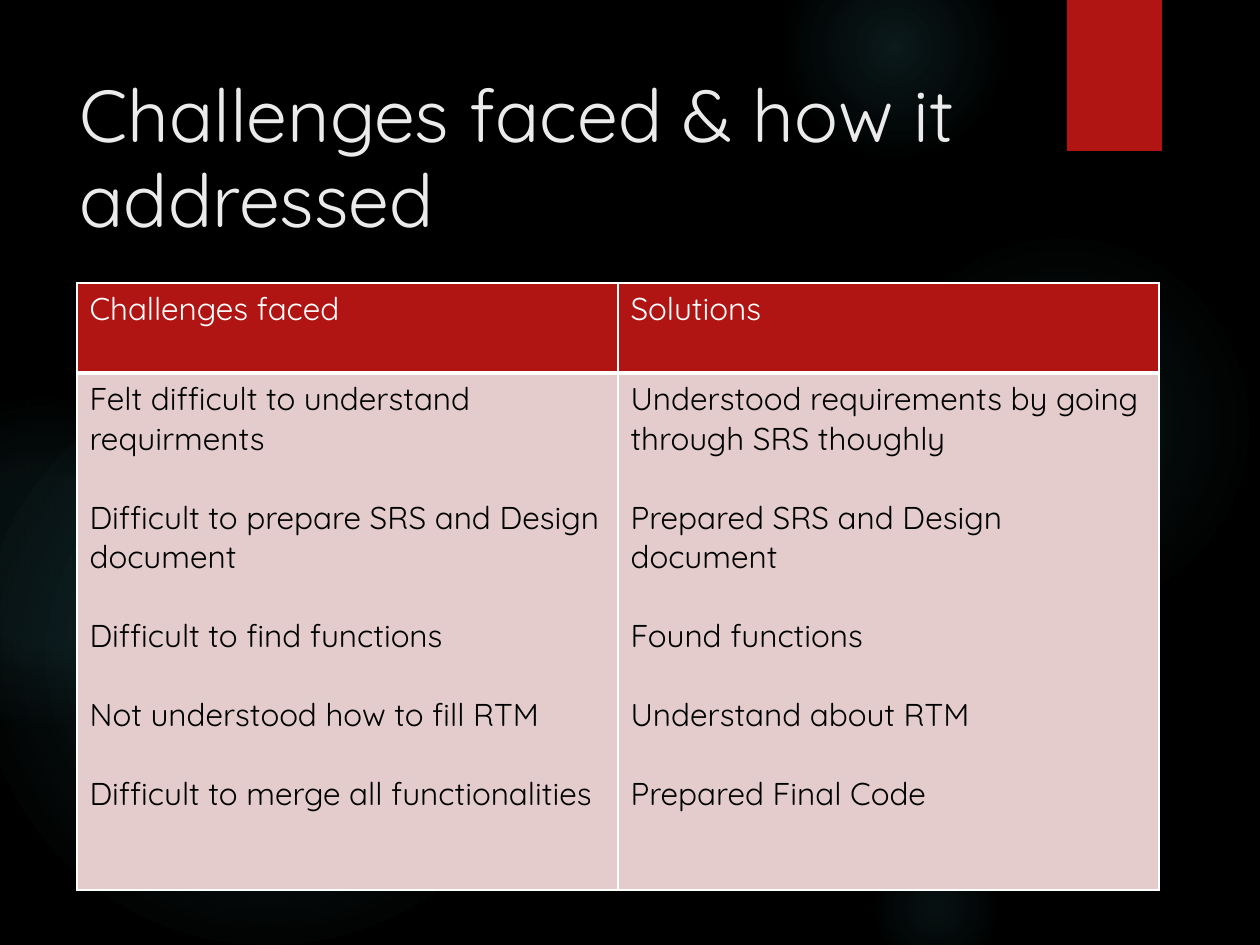
from pptx import Presentation
from pptx.dml.color import RGBColor
from pptx.enum.shapes import MSO_SHAPE as SHAPE
from pptx.enum.text import MSO_ANCHOR as ANCHOR, PP_ALIGN as ALIGN
from pptx.oxml import parse_xml
from pptx.oxml.ns import nsdecls, qn
from pptx.util import Emu, Pt

PX_PER_INCH = 126
FONT = "Quicksand"
BLACK, WHITE, RED, PINK, TEAL = "000000", "FFFFFF", "B01513", "E4CCCC", "50B9C1"
TITLE_COLOR = "EBEBEB"

# left, top, diameter, then (position %, opacity %) stops from the centre out
GLOWS = [
    (868, 231, 388, [(0, 7), (36, 6), (69, 0)]),
    (784, -63, 220, [(0, 14), (36, 7), (73, 0)]),
    (868, 840, 136, [(0, 9), (36, 5), (66, 0)]),
    (-21, 368, 577, [(0, 11), (36, 10), (75, 0)]),
    (-116, 399, 325, [(0, 8), (36, 8), (72, 0)]),
]
HEADERS = ["Challenges faced", "Solutions"]
ROWS = [
    ("Felt difficult to understand requirments",
     "Understood requirements by going through SRS thoughly"),
    ("Difficult to prepare SRS and Design document",
     "Prepared SRS and Design document"),
    ("Difficult to find functions", "Found functions"),
    ("Not understood how to fill RTM", "Understand about RTM"),
    ("Difficult to merge all functionalities", "Prepared Final Code"),
]


def px(n):
    return Emu(round(n * 914400 / PX_PER_INCH))


def rgb(color):
    return RGBColor.from_string(color)


def write(tf, lines, size=18, color=BLACK, gap=0, spacing=None):
    """Fill a text frame with one paragraph per line, gap points apart."""
    for i, line in enumerate(lines):
        p = tf.paragraphs[0] if i == 0 else tf.add_paragraph()
        p.alignment = ALIGN.LEFT
        p.space_before = Pt(gap if i else 0)
        if spacing:
            p.line_spacing = spacing
        r = p.add_run()
        r.text = line
        r.font.name, r.font.size, r.font.bold = FONT, Pt(size), False
        r.font.color.rgb = rgb(color)


class Deck:
    """Holds the presentation and its current slide."""

    def __init__(self, width, height):
        self.prs = Presentation()
        self.prs.slide_width, self.prs.slide_height = px(width), px(height)

    def add_slide(self, background):
        self.s = self.prs.slides.add_slide(self.prs.slide_layouts[5])
        fill = self.s.background.fill
        fill.solid()
        fill.fore_color.rgb = rgb(background)

    def shape(self, kind, *box):
        sp = self.s.shapes.add_shape(kind, *map(px, box))
        sp.shadow.inherit = False
        sp.line.fill.background()
        return sp

    def glow(self, left, top, size, stops):
        """Add a circle that fades out from its centre."""
        sp = self.shape(SHAPE.OVAL, left, top, size, size)
        sp.fill.background()
        gs = "".join(
            f'<a:gs pos="{pos * 1000}"><a:srgbClr val="{TEAL}">'
            f'<a:alpha val="{alpha * 1000}"/></a:srgbClr></a:gs>'
            for pos, alpha in stops)
        spPr = sp._element.spPr
        spPr.replace(spPr.find(qn("a:noFill")), parse_xml(
            f'<a:gradFill {nsdecls("a")}><a:gsLst>{gs}</a:gsLst><a:path path="circle">'
            '<a:fillToRect l="50000" t="50000" r="50000" b="50000"/></a:path></a:gradFill>'))

    def ribbon(self, *box):
        sp = self.shape(SHAPE.RECTANGLE, *box)
        sp.fill.solid()
        sp.fill.fore_color.rgb = rgb(RED)
        sp._element.spPr.find(qn("a:effectLst")).append(parse_xml(
            f'<a:outerShdw {nsdecls("a")} blurRad="{Pt(3)}" dist="{Pt(2)}" dir="5400000">'
            f'<a:srgbClr val="{BLACK}"><a:alpha val="45000"/></a:srgbClr></a:outerShdw>'))

    def title(self, text, *box):
        sp = self.s.shapes.title
        sp.left, sp.top, sp.width, sp.height = map(px, box)
        tf = sp.text_frame
        tf.word_wrap, tf.vertical_anchor = True, ANCHOR.MIDDLE
        write(tf, [text], size=42, color=TITLE_COLOR, spacing=0.96)
        self.s.shapes._spTree.append(sp._element)  # in front of the glows

    def cell(self, cell, lines, fill, color, top=1, bottom=1, gap=0):
        tcPr = cell._tc.get_or_add_tcPr()
        for side, width in zip("LRTB", (1, 1, top, bottom)):
            tcPr.append(parse_xml(
                f'<a:ln{side} {nsdecls("a")} w="{Pt(width)}"><a:solidFill>'
                f'<a:srgbClr val="{WHITE}"/></a:solidFill></a:ln{side}>'))
        cell.fill.solid()
        cell.fill.fore_color.rgb = rgb(fill)
        write(cell.text_frame, lines, color=color, gap=gap)

    def table(self, left, top, col_width, row_heights):
        size = col_width * len(HEADERS), sum(row_heights)
        table = self.s.shapes.add_table(
            len(row_heights), len(HEADERS), *map(px, (left, top, *size))).table
        table.first_row = table.horz_banding = False
        for row, height in zip(table.rows, row_heights):
            row.height = px(height)
        for i, (header, answers) in enumerate(zip(HEADERS, zip(*ROWS))):
            table.columns[i].width = px(col_width)
            self.cell(table.cell(0, i), [header], RED, WHITE, bottom=3)
            self.cell(table.cell(1, i), answers, PINK, BLACK, top=3, gap=22.5)


def main():
    deck = Deck(1260, 945)
    deck.add_slide(BLACK)
    for glow in GLOWS:
        deck.glow(*glow)
    deck.ribbon(1067, 0, 95, 151)
    deck.title("Challenges faced & how it addressed", 67, 63, 973, 193)
    deck.table(77, 283, 541, [90, 517])
    deck.prs.save("out.pptx")


if __name__ == "__main__":
    main()
